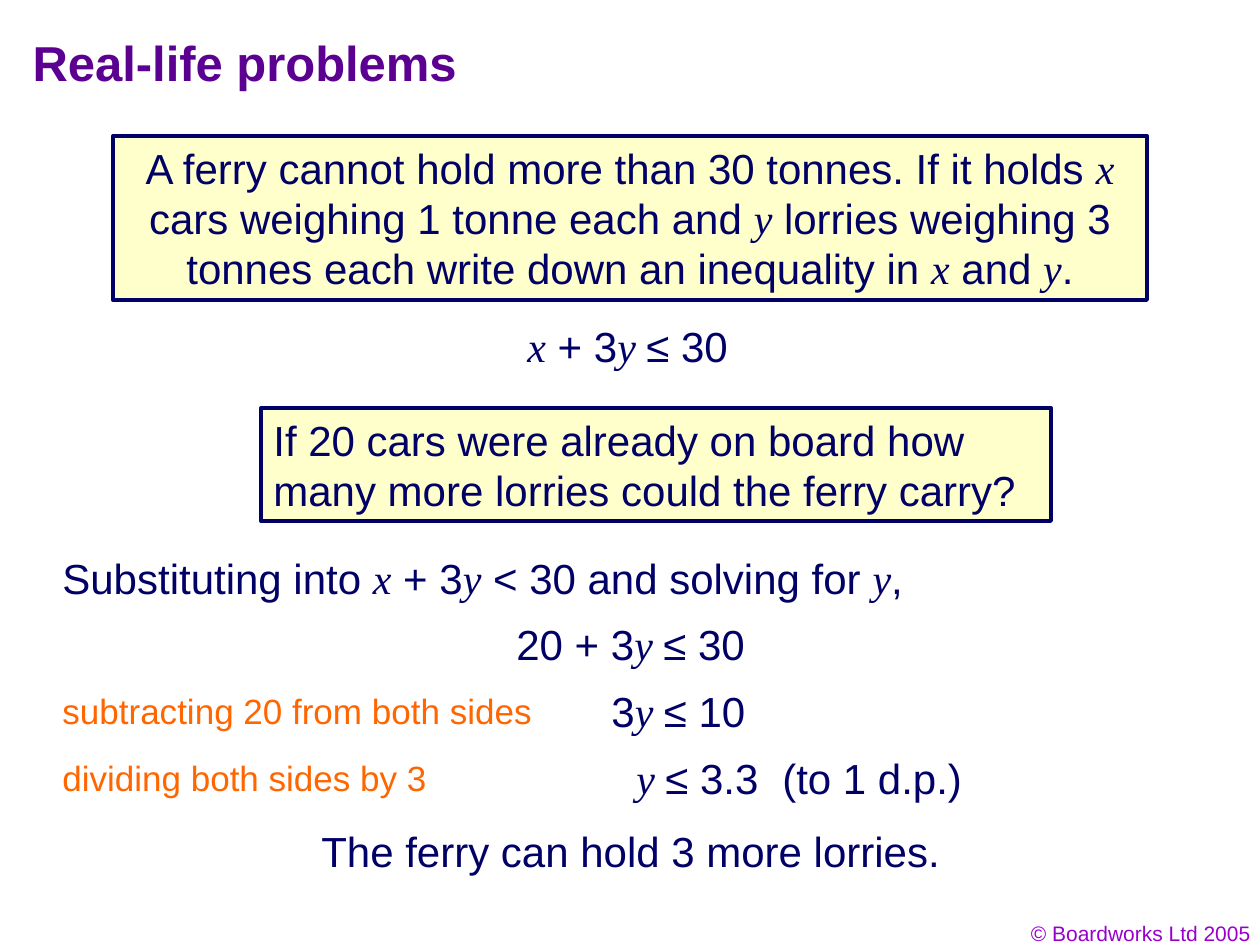
from dataclasses import dataclass
from lxml import etree
from pptx import Presentation
from pptx import util as u
from pptx.dml.color import RGBColor as Rgb
from pptx.enum import shapes, text
from pptx.oxml import ns

PX = 914400 / 126


@dataclass(frozen=True)
class Theme:
    """Colours, fonts and type sizes of the slide."""
    ink: str = "010066"
    edge: str = "000066"
    panel: str = "FFFFCC"
    head: str = "5B0091"
    hint: str = "FF6600"
    foot: str = "9900CC"
    sans: str = "Arial"
    math: str = "Times New Roman"
    big: int = 28
    body: int = 24
    small: int = 20
    tiny: int = 12


T = Theme()
LEFT, MID, RIGHT = text.PP_ALIGN.LEFT, text.PP_ALIGN.CENTER, text.PP_ALIGN.RIGHT


def px(n):
    """Turn pixels into EMU."""
    return u.Emu(round(n * PX))


def stop(para, pos):
    """Put one left tab stop on a paragraph."""
    tabs = etree.SubElement(para._p.get_or_add_pPr(), ns.qn("a:tabLst"))
    etree.SubElement(tabs, ns.qn("a:tab"), pos=str(px(pos)), algn="l")


def write(shape, words, size=T.body, color=T.ink, align=LEFT, wrap=True, bold=False, tab=None):
    """Write one paragraph, with *starred* parts as italic variables."""
    frame = shape.text_frame
    frame.word_wrap = wrap
    frame.auto_size = text.MSO_AUTO_SIZE.NONE
    para = frame.paragraphs[0]
    para.alignment = align
    if tab:
        stop(para, tab)
    font = para.font
    font.name, font.size, font.bold = T.sans, u.Pt(size), bold
    font.color.rgb = Rgb.from_string(color)
    for i, part in enumerate(words.split("*")):
        if part:
            run = para.add_run()
            run.text = part
            if i % 2:
                run.font.name, run.font.italic = T.math, True


def title(slide, words, box):
    """Place and fill the title placeholder."""
    shape = slide.shapes.title
    shape.left, shape.top, shape.width, shape.height = map(px, box)
    shape.text_frame.vertical_anchor = text.MSO_ANCHOR.MIDDLE
    write(shape, words, T.big, T.head, bold=True)


def panel(slide, words, box, align=LEFT):
    """Add a question in a framed panel."""
    shape = slide.shapes.add_shape(shapes.MSO_SHAPE.RECTANGLE, *map(px, box))
    shape.shadow.inherit = False
    shape.fill.solid()
    shape.fill.fore_color.rgb = Rgb.from_string(T.panel)
    shape.line.color.rgb = Rgb.from_string(T.edge)
    shape.line.width = u.Pt(2.25)
    shape.text_frame.vertical_anchor = text.MSO_ANCHOR.TOP
    write(shape, words, align=align)


def label(slide, words, box, wrap=False, **style):
    """Add a line of plain text."""
    write(slide.shapes.add_textbox(*map(px, box)), words, wrap=wrap, **style)


def steps(slide, rows, top, pitch):
    """Add the working, one hint and formula to a row."""
    for i, (hint, wide, form, left, width, tab) in enumerate(rows):
        y = top + i * pitch
        if hint:
            label(slide, hint, (50, y + 4, wide, 55), size=T.small, color=T.hint)
        label(slide, form, (left, y, width, 63), tab=tab)


def main():
    """Build and save the slide."""
    deck = Presentation()
    deck.slide_width, deck.slide_height = px(1260), px(945)
    slide = deck.slides.add_slide(deck.slide_layouts[5])
    label(slide, "© Boardworks Ltd 2005", (969, 914, 294, 38), wrap=True,
          size=T.tiny, color=T.foot, align=RIGHT)
    title(slide, "Real-life problems", (20, 20, 1071, 84))
    panel(slide, "A ferry cannot hold more than 30 tonnes. If it holds *x* cars "
          "weighing 1 tonne each and *y* lorries weighing 3 tonnes each write down "
          "an inequality in *x* and *y*.", (113, 136, 1034, 164), MID)
    label(slide, "*x* + 3*y *≤ 30", (515, 314, 227, 63))
    panel(slide, "If 20 cars were already on board how many more lorries could "
          "the ferry carry?", (261, 408, 790, 113))
    label(slide, "Substituting into *x* + 3*y* < 30 and solving for *y*,",
          (50, 546, 866, 63))
    steps(slide, [
        ("", 0, "20 + 3*y *≤ 30", 504, 255, None),
        ("subtracting 20 from both sides", 495, "3*y *≤ 10", 599, 160, None),
        ("dividing both sides by 3", 389, "*y *≤ 3.3\t(to 1 d.p.)", 624, 352, 146),
    ], 612, 67)
    label(slide, "The ferry can hold 3 more lorries.", (309, 819, 644, 63))
    deck.save("out.pptx")


if __name__ == "__main__":
    main()
